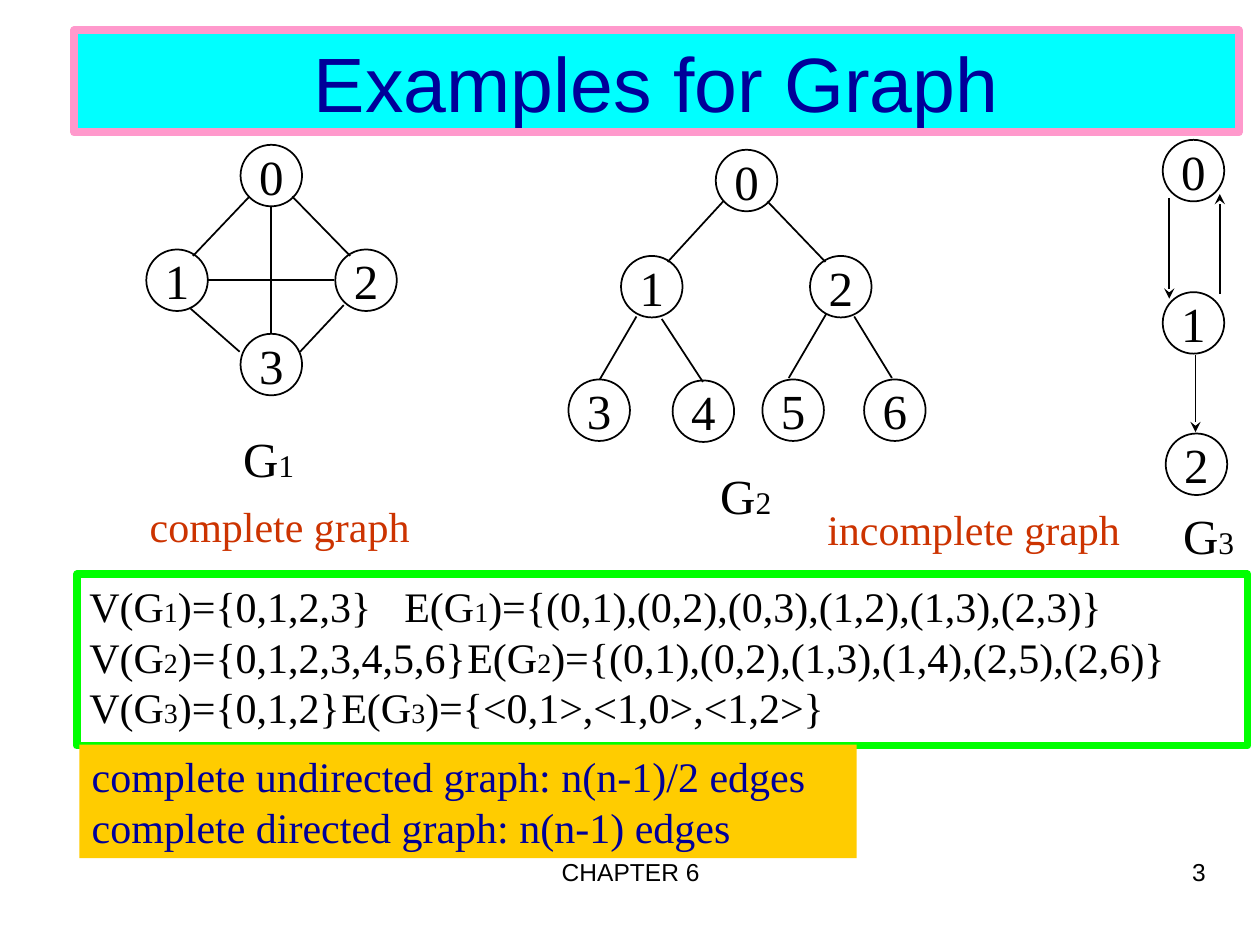
from dataclasses import dataclass

from lxml.etree import SubElement
from pptx import Presentation
from pptx.dml.color import RGBColor
from pptx.enum.shapes import MSO_CONNECTOR, MSO_SHAPE
from pptx.enum.text import MSO_ANCHOR, MSO_AUTO_SIZE, PP_ALIGN
from pptx.oxml.ns import qn
from pptx.util import Cm, Pt


@dataclass(frozen=True)
class Theme:
    heading_font: str = "Arial"
    text_font: str = "Times New Roman"
    black: str = "000000"
    white: str = "FFFFFF"
    navy: str = "000099"
    cyan: str = "00FFFF"
    pink: str = "FF99CC"
    green: str = "00FF00"
    gold: str = "FFCC00"
    rust: str = "CC3300"
    title_size: int = 44
    node_size: int = 28
    node_sub_size: int = 18
    text_size: int = 24
    text_sub_size: int = 16
    footer_size: int = 14
    thin: float = 1
    thick: float = 4.5


THEME = Theme()
NODE_DIAMETER = 1.24
SET_COLUMN = 8.86

GRAPHS = [
    {
        "name": "G_1",
        "name_at": (4.65, 8.51),
        "vertices": [(4.85, 2.92), (2.95, 5.03), (6.76, 5.03), (4.85, 6.73)],
        "edges": [
            (5.46, 4.17, 5.46, 6.71), (4.19, 5.64, 6.73, 5.64),
            (5.03, 3.96, 3.89, 5.16), (5.89, 3.96, 7.06, 5.16),
            (3.84, 6.22, 4.83, 7.09), (6.93, 6.15, 6.05, 7.09),
        ],
        "directed": False,
    },
    {
        "name": "G_2",
        "name_at": (14.27, 9.25),
        "vertices": [
            (14.43, 3.02), (12.52, 5.16), (16.33, 5.16), (11.46, 7.65),
            (13.56, 7.67), (15.37, 7.65), (17.42, 7.65),
        ],
        "edges": [
            (14.58, 4.06, 13.46, 5.28), (15.47, 4.06, 16.64, 5.28),
            (12.83, 6.38, 12.09, 7.65), (13.34, 6.43, 14.17, 7.7),
            (16.66, 6.32, 15.9, 7.62), (17.22, 6.38, 17.98, 7.62),
        ],
        "directed": False,
    },
    {
        "name": "G_3",
        "name_at": (23.6, 10.06),
        "vertices": [(23.44, 2.82), (23.44, 5.89), (23.5, 8.74)],
        "edges": [
            (24.1, 7.16, 24.1, 8.71), (24.59, 5.92, 24.59, 3.91),
            (23.57, 3.99, 23.57, 6.02),
        ],
        "directed": True,
    },
]

SETS = [
    "V(G_1)={0,1,2,3}\tE(G_1)={(0,1),(0,2),(0,3),(1,2),(1,3),(2,3)}",
    "V(G_2)={0,1,2,3,4,5,6}\tE(G_2)={(0,1),(0,2),(1,3),(1,4),(2,5),(2,6)}",
    "V(G_3)={0,1,2}\tE(G_3)={<0,1>,<1,0>,<1,2>}",
]
EDGE_COUNTS = [
    "complete undirected graph: n(n-1)/2 edges",
    "complete directed graph: n(n-1) edges",
]


def apply(target, formats):
    for attribute, value in formats.items():
        setattr(target, attribute, value)


def place(part, left, top, width, height):
    apply(part, {"left": Cm(left), "top": Cm(top),
                 "width": Cm(width), "height": Cm(height)})


def paint(part, fill, outline=None, weight=THEME.thin):
    part.fill.solid()
    part.fill.fore_color.rgb = RGBColor.from_string(fill)
    if outline:
        part.line.color.rgb = RGBColor.from_string(outline)
        part.line.width = Pt(weight)
    else:
        part.line.fill.background()


def add_run(paragraph, text, size, font, color):
    run = paragraph.add_run()
    run.text = text
    apply(run.font, {"name": font, "size": Pt(size)})
    run.font.color.rgb = RGBColor.from_string(color)


def write(part, lines, size, sub_size=None, font=THEME.text_font, color=THEME.black,
          align=PP_ALIGN.LEFT, anchor=MSO_ANCHOR.TOP, wrap=False):
    frame = part.text_frame
    apply(frame, {
        "word_wrap": wrap, "auto_size": MSO_AUTO_SIZE.NONE, "vertical_anchor": anchor,
        "margin_left": Cm(0.25), "margin_right": Cm(0.25),
        "margin_top": Cm(0.13), "margin_bottom": Cm(0.13),
    })
    for index, line in enumerate(lines):
        paragraph = frame.add_paragraph() if index else frame.paragraphs[0]
        apply(paragraph, {"alignment": align, "space_before": Pt(0)})
        start, *subscripted = line.split("_")
        add_run(paragraph, start, size, font, color)
        for piece in subscripted:
            add_run(paragraph, piece[0], sub_size, font, color)
            if piece[1:]:
                add_run(paragraph, piece[1:], size, font, color)


def add_label(slide, box, lines, size, **formats):
    label = slide.shapes.add_textbox(*map(Cm, box))
    write(label, lines, size, **formats)
    return label


def add_vertex(slide, number, left, top):
    vertex = slide.shapes.add_shape(
        MSO_SHAPE.OVAL, Cm(left), Cm(top), Cm(NODE_DIAMETER), Cm(NODE_DIAMETER))
    vertex.shadow.inherit = False
    paint(vertex, THEME.white, THEME.black)
    write(vertex, [str(number)], THEME.node_size,
          align=PP_ALIGN.CENTER, anchor=MSO_ANCHOR.MIDDLE)


def add_edge(slide, ends, directed):
    edge = slide.shapes.add_connector(MSO_CONNECTOR.STRAIGHT, *map(Cm, ends))
    edge.line.color.rgb = RGBColor.from_string(THEME.black)
    edge.line.width = Pt(THEME.thin)
    properties = edge.element.spPr
    if directed:
        SubElement(properties.find(qn("a:ln")), qn("a:tailEnd"), type="stealth")
    SubElement(properties, qn("a:effectLst"))


def add_graph(slide, graph):
    for number, position in enumerate(graph["vertices"]):
        add_vertex(slide, number, *position)
    for ends in graph["edges"]:
        add_edge(slide, ends, graph["directed"])
    add_label(slide, (*graph["name_at"], 1.55, 1.45), [graph["name"]],
              THEME.node_size, sub_size=THEME.node_sub_size)


def fill_title(title):
    place(title, 1.5, 0.61, 23.47, 2.06)
    paint(title, THEME.cyan, THEME.pink, THEME.thick)
    write(title, ["Examples for Graph"], THEME.title_size, font=THEME.heading_font,
          color=THEME.navy, align=PP_ALIGN.CENTER, anchor=MSO_ANCHOR.MIDDLE, wrap=True)


def fill_sets(sets):
    place(sets, 1.55, 11.58, 23.6, 3.45)
    paint(sets, THEME.white, THEME.green, THEME.thick)
    write(sets, SETS, THEME.text_size, sub_size=THEME.text_sub_size, wrap=True)
    for paragraph in sets.text_frame.paragraphs:
        properties = paragraph._p.get_or_add_pPr()
        properties.set("marL", "0")
        properties.set("indent", "0")
        SubElement(properties, qn("a:buNone"))
        stops = SubElement(properties, qn("a:tabLst"))
        SubElement(stops, qn("a:tab"), pos=str(Cm(SET_COLUMN)), algn="l")


def main():
    deck = Presentation()
    apply(deck, {"slide_width": Cm(25.4), "slide_height": Cm(19.05)})
    slide = deck.slides.add_slide(deck.slide_layouts[1])
    fill_title(slide.shapes.title)
    fill_sets(slide.placeholders[1])
    for graph in GRAPHS:
        add_graph(slide, graph)
    edge_counts = add_label(slide, (1.6, 15.01, 15.67, 2.29), EDGE_COUNTS, THEME.text_size,
                            color=THEME.navy, anchor=MSO_ANCHOR.MIDDLE, wrap=True)
    paint(edge_counts, THEME.gold)
    for kind, box in [("complete graph", (2.77, 9.96, 5.74, 1.27)),
                      ("incomplete graph", (16.43, 10.03, 6.4, 1.27))]:
        add_label(slide, box, [kind], THEME.text_size, color=THEME.rust,
                  align=PP_ALIGN.CENTER, anchor=MSO_ANCHOR.MIDDLE)
    for footer, box, align in [("CHAPTER 6", (8.69, 17.15, 8.05, 1.32), PP_ALIGN.CENTER),
                               ("3", (18.21, 17.15, 6.35, 1.32), PP_ALIGN.RIGHT)]:
        add_label(slide, box, [footer], THEME.footer_size, font=THEME.heading_font,
                  align=align, wrap=True)
    deck.save("out.pptx")


if __name__ == "__main__":
    main()
